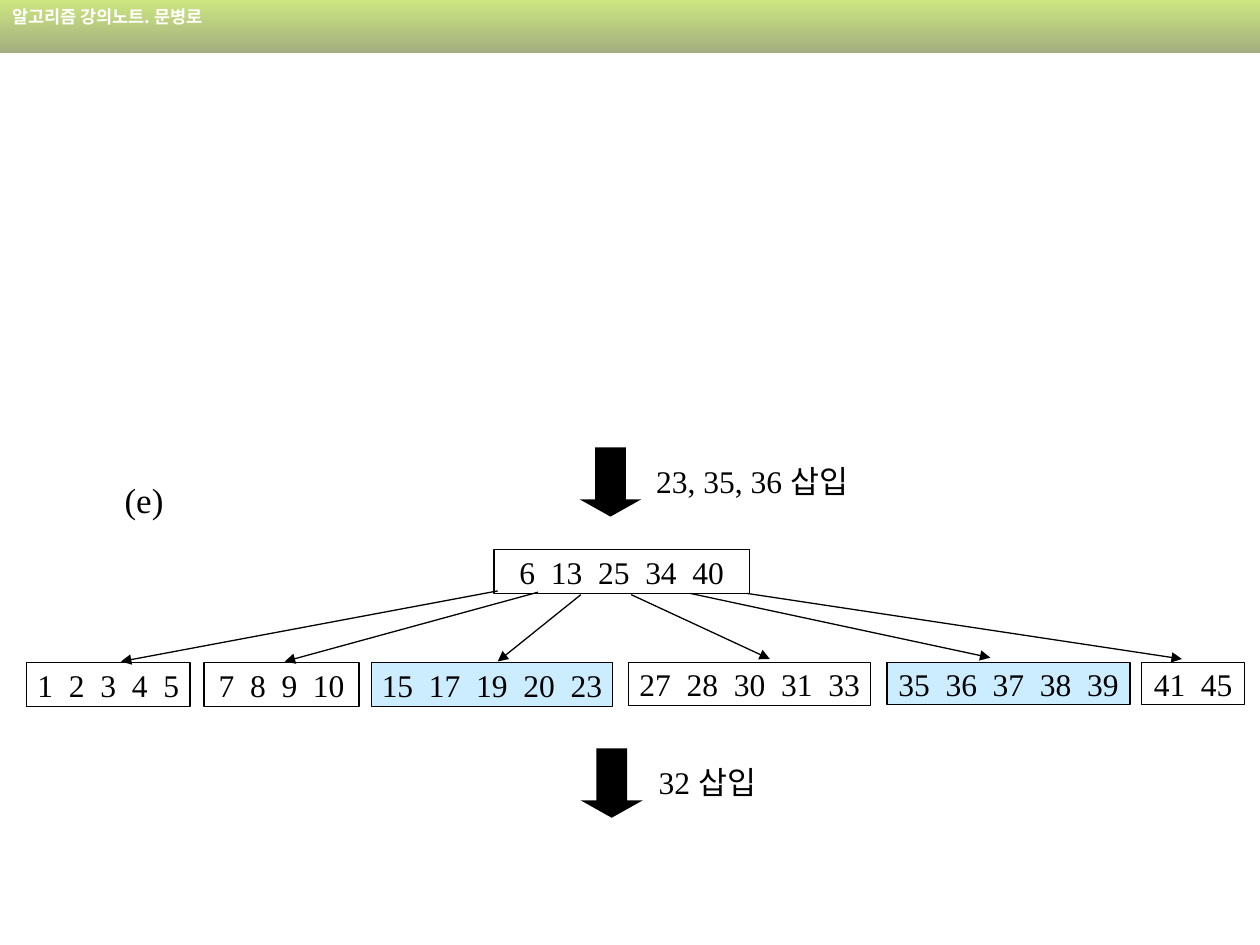
"""Build a lecture slide showing insertions into a B-tree."""
from dataclasses import dataclass

from lxml import etree
from pptx import Presentation
from pptx.dml.color import RGBColor
from pptx.enum.shapes import MSO_CONNECTOR, MSO_SHAPE
from pptx.enum.text import MSO_ANCHOR, MSO_AUTO_SIZE, PP_ALIGN
from pptx.oxml.ns import qn
from pptx.util import Inches, Pt

RECT, DOWN_ARROW = MSO_SHAPE.RECTANGLE, MSO_SHAPE.DOWN_ARROW
STRAIGHT = MSO_CONNECTOR.STRAIGHT
TOP, MIDDLE = MSO_ANCHOR.TOP, MSO_ANCHOR.MIDDLE
LEFT, CENTER = PP_ALIGN.LEFT, PP_ALIGN.CENTER
FIT_SHAPE = MSO_AUTO_SIZE.SHAPE_TO_FIT_TEXT


@dataclass(frozen=True)
class Theme:
    ink: RGBColor = RGBColor(0x00, 0x00, 0x00)
    white: RGBColor = RGBColor(0xFF, 0xFF, 0xFF)
    changed: RGBColor = RGBColor(0xCC, 0xEC, 0xFF)
    band_top: RGBColor = RGBColor(0xCC, 0xE6, 0x80)
    band_bottom: RGBColor = RGBColor(0xA3, 0xAF, 0x80)
    latin: str = "Times New Roman"
    korean: str = "Noto Sans CJK KR"
    header: Pt = Pt(10)
    body: Pt = Pt(18)
    label: Pt = Pt(20)
    line: Pt = Pt(0.75)


T = Theme()


def write(sp, text, size, color, font, align=LEFT, anchor=TOP, wrap=False):
    tf = sp.text_frame
    tf.text = text
    tf.word_wrap = wrap
    tf.vertical_anchor = anchor
    p = tf.paragraphs[0]
    p.alignment = align
    r = p.runs[0]
    r.font.size = size
    r.font.color.rgb = color
    r.font.name = font
    ea = etree.SubElement(r.font._element, qn("a:ea"))
    ea.set("typeface", T.korean)
    return r


def add_shape(s, kind, x, y, w, h):
    sp = s.shapes.add_shape(kind, Inches(x), Inches(y), Inches(w), Inches(h))
    sp.shadow.inherit = False
    return sp


prs = Presentation()
prs.slide_width, prs.slide_height = Inches(10), Inches(7.5)
s = prs.slides.add_slide(prs.slide_layouts[6])

header = add_shape(s, RECT, 0, 0, 10, 0.42)
header.line.fill.background()
header.fill.gradient()
header.fill.gradient_angle = 270
for stop, color in zip(header.fill.gradient_stops, (T.band_top, T.band_bottom)):
    stop.color.rgb = color
r = write(header, "알고리즘 강의노트. 문병로", T.header, T.white, T.korean, wrap=True)
r.font.bold = True

for x, y in ((4.6, 3.55), (4.61, 5.94)):
    arrow = add_shape(s, DOWN_ARROW, x, y, 0.49, 0.55)
    arrow.adjustments[0], arrow.adjustments[1] = 0.5, 0.28
    arrow.fill.solid()
    arrow.fill.fore_color.rgb = T.ink
    arrow.line.fill.background()

nodes = (
    ("6  13  25  34  40", 3.92, 4.36, 2.03, 0.35, False),
    ("1  2  3  4  5", 0.21, 5.26, 1.3, 0.35, False),
    ("7  8  9  10", 1.62, 5.26, 1.23, 0.35, False),
    ("15  17  19  20  23", 2.95, 5.26, 1.91, 0.35, True),
    ("27  28  30  31  33", 4.99, 5.26, 1.92, 0.34, False),
    ("35  36  37  38  39", 7.04, 5.26, 1.93, 0.33, True),
    ("41  45", 9.06, 5.26, 0.82, 0.33, False),
)
for keys, x, y, w, h, changed in nodes:
    node = add_shape(s, RECT, x, y, w, h)
    if changed:
        node.fill.solid()
        node.fill.fore_color.rgb = T.changed
    else:
        node.fill.background()
    node.line.color.rgb = T.ink
    node.line.width = T.line
    write(node, keys, T.body, T.ink, T.latin, CENTER, MIDDLE)

pointers = (
    (3.95, 4.69, 0.96, 5.25),
    (4.27, 4.7, 2.26, 5.25),
    (4.61, 4.72, 3.95, 5.25),
    (5.01, 4.72, 6.11, 5.23),
    (5.48, 4.71, 7.86, 5.22),
    (5.93, 4.71, 9.38, 5.23),
)
for ends in pointers:
    pointer = s.shapes.add_connector(STRAIGHT, *map(Inches, ends))
    pointer.line.color.rgb = T.ink
    pointer.line.width = T.line
    tail = etree.SubElement(pointer.line._get_or_add_ln(), qn("a:tailEnd"))
    tail.set("type", "triangle")
    etree.SubElement(pointer._element.spPr, qn("a:effectLst"))

labels = (
    ("23, 35, 36 삽입", 5.11, 3.62, 1.78, 0.4, T.body, False),
    ("32 삽입", 5.13, 6.01, 1.03, 0.4, T.body, False),
    ("(e)", 0.89, 3.75, 0.52, 0.44, T.label, True),
)
for text, x, y, w, h, size, wrap in labels:
    label = s.shapes.add_textbox(Inches(x), Inches(y), Inches(w), Inches(h))
    write(label, text, size, T.ink, T.latin, wrap=wrap)
    label.text_frame.auto_size = FIT_SHAPE

prs.save("out.pptx")
